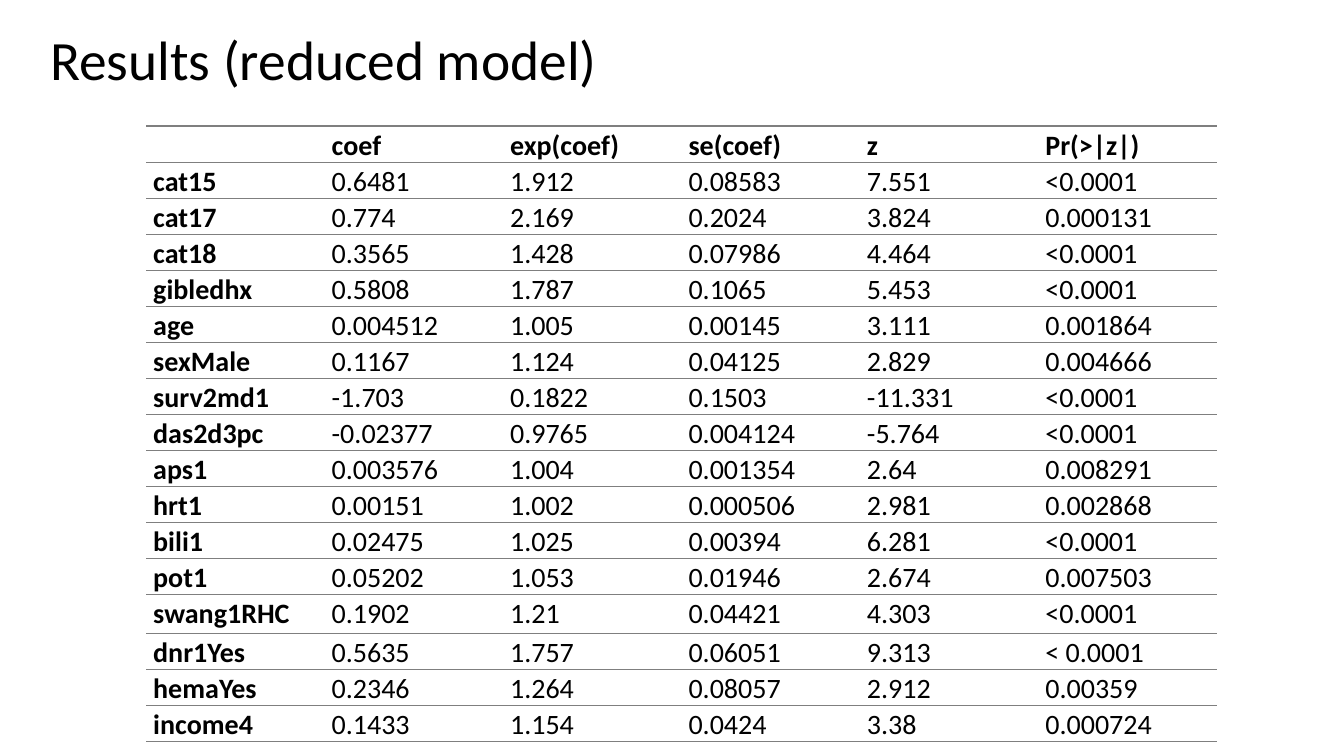
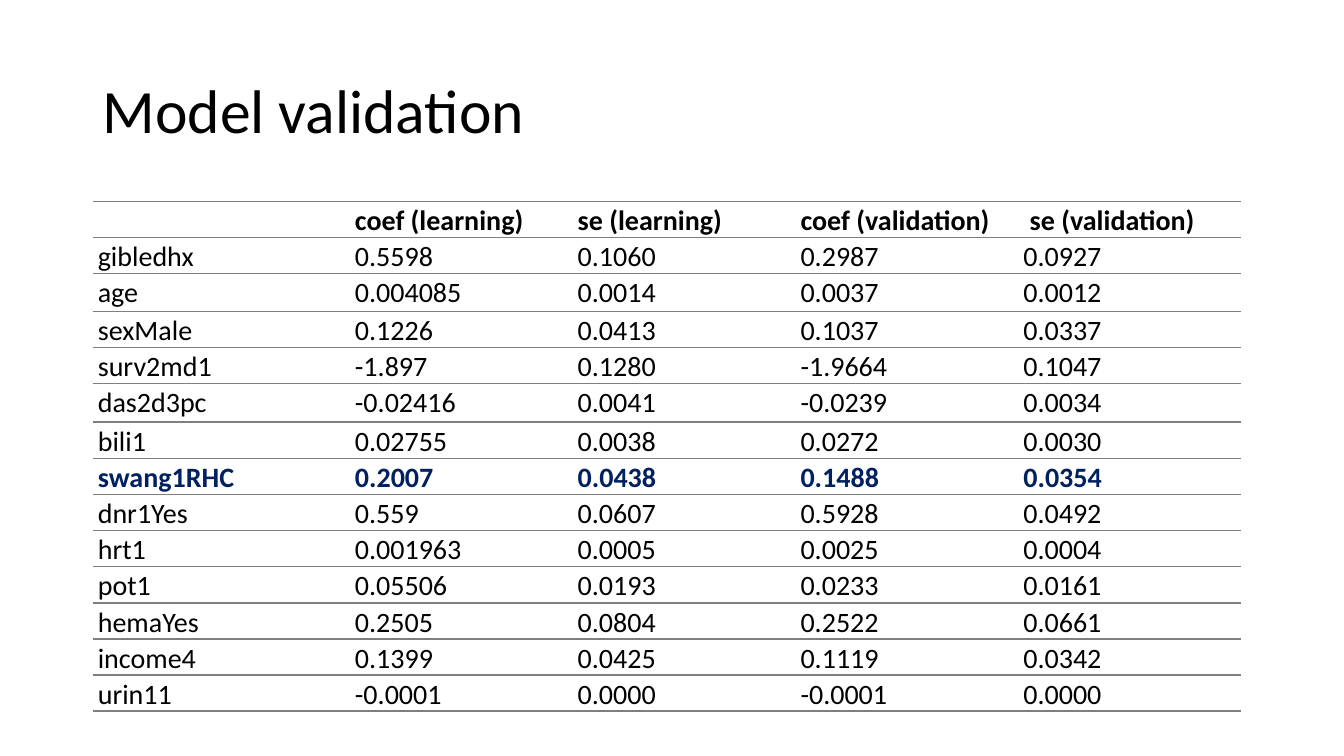
from lxml import etree
from pptx import Presentation
from pptx import util as u
from pptx.dml.color import RGBColor
from pptx.enum import text
from pptx.oxml import ns

COLORS = {"text": "000000", "accent": "002060", "rule": "7F7F7F"}
FONT = "Calibri"
PLAIN_TABLE = "{2D5ABB26-0587-4C30-8999-92F81FD0307C}"


class Deck:
    def __init__(self):
        self.prs = Presentation()
        self.prs.slide_width = u.Inches(13.33)
        self.prs.slide_height = u.Inches(7.5)
        self.s = None

    def slide(self):
        self.s = self.prs.slides.add_slide(self.prs.slide_layouts[6])

    def run(self, p, value, size, bold=False, color="text"):
        r = p.add_run()
        r.text = value
        r.font.name = FONT
        r.font.size = u.Pt(size)
        r.font.bold = bold
        r.font.color.rgb = RGBColor.from_string(COLORS[color])

    def title(self, value, left, top, width, height, size):
        sp = self.s.shapes.add_textbox(*map(u.Inches, (left, top, width, height)))
        tf = sp.text_frame
        tf.word_wrap = True
        tf.vertical_anchor = text.MSO_ANCHOR.MIDDLE
        p = tf.paragraphs[0]
        p.line_spacing = 0.9
        self.run(p, value, size)

    def rules(self, cell):
        """Draw the thin lines above and below a cell."""
        tc_pr = cell._tc.get_or_add_tcPr()
        for side in ("a:lnT", "a:lnB"):
            ln = etree.SubElement(tc_pr, ns.qn(side), w=str(u.Pt(1)))
            fill = etree.SubElement(ln, ns.qn("a:solidFill"))
            etree.SubElement(fill, ns.qn("a:srgbClr"), val=COLORS["rule"])

    def table(self, rows, left, top, widths, heights, inset,
              bold_names=False, highlight=None):
        frame = self.s.shapes.add_table(
            len(rows), len(widths), u.Inches(left), u.Inches(top),
            u.Inches(sum(widths)), u.Inches(sum(heights)))
        table = frame.table
        table.first_row = table.horz_banding = False
        table._tbl.tblPr.find(ns.qn("a:tableStyleId")).text = PLAIN_TABLE
        for column, width in zip(table.columns, widths):
            column.width = u.Inches(width)
        for i, (row, values) in enumerate(zip(table.rows, rows)):
            row.height = u.Inches(heights[i])
            marked = values[0] == highlight
            for j, (cell, value) in enumerate(zip(row.cells, values)):
                cell.margin_left = cell.margin_right = u.Inches(inset)
                cell.margin_top = cell.margin_bottom = 0
                self.rules(cell)
                cell.fill.background()
                p = cell.text_frame.paragraphs[0]
                p.line_spacing = 1.07
                if value:
                    bold = i == 0 or marked or (bold_names and j == 0)
                    self.run(p, value, 20, bold, "accent" if marked else "text")


deck = Deck()

# Reduced model
reduced_model = [
    ("", "coef", "exp(coef)", "se(coef)", "z", "Pr(>|z|)"),
    ("cat15", "0.6481", "1.912", "0.08583", "7.551", "<0.0001"),
    ("cat17", "0.774", "2.169", "0.2024", "3.824", "0.000131"),
    ("cat18", "0.3565", "1.428", "0.07986", "4.464", "<0.0001"),
    ("gibledhx", "0.5808", "1.787", "0.1065", "5.453", "<0.0001"),
    ("age", "0.004512", "1.005", "0.00145", "3.111", "0.001864"),
    ("sexMale", "0.1167", "1.124", "0.04125", "2.829", "0.004666"),
    ("surv2md1", "-1.703", "0.1822", "0.1503", "-11.331", "<0.0001"),
    ("das2d3pc", "-0.02377", "0.9765", "0.004124", "-5.764", "<0.0001"),
    ("aps1", "0.003576", "1.004", "0.001354", "2.64", "0.008291"),
    ("hrt1", "0.00151", "1.002", "0.000506", "2.981", "0.002868"),
    ("bili1", "0.02475", "1.025", "0.00394", "6.281", "<0.0001"),
    ("pot1", "0.05202", "1.053", "0.01946", "2.674", "0.007503"),
    ("swang1RHC", "0.1902", "1.21", "0.04421", "4.303", "<0.0001"),
    ("dnr1Yes", "0.5635", "1.757", "0.06051", "9.313", "< 0.0001"),
    ("hemaYes", "0.2346", "1.264", "0.08057", "2.912", "0.00359"),
    ("income4", "0.1433", "1.154", "0.0424", "3.38", "0.000724"),
]
deck.slide()
deck.title("Results (reduced model)", 0.4, 0.27, 11.5, 0.69, 39.6)
deck.table(reduced_model, 1.45, 1.25, [1.77] * 6,
           [0.36] + [0.32] * 12 + [0.39] + [0.32] * 3, 0.07, bold_names=True)

# Model validation
validation = [
    ("", "coef (learning)", "se (learning)", "coef (validation)", " se (validation)"),
    ("gibledhx", "0.5598", "0.1060", "0.2987", "0.0927"),
    ("age", "0.004085", "0.0014", "0.0037", "0.0012"),
    ("sexMale", "0.1226", "0.0413", "0.1037", "0.0337"),
    ("surv2md1", "-1.897", "0.1280", "-1.9664", "0.1047"),
    ("das2d3pc", "-0.02416", "0.0041", "-0.0239", "0.0034"),
    ("bili1", "0.02755", "0.0038", "0.0272", "0.0030"),
    ("swang1RHC", "0.2007", "0.0438", "0.1488", "0.0354"),
    ("dnr1Yes", "0.559", "0.0607", "0.5928", "0.0492"),
    ("hrt1", "0.001963", "0.0005", "0.0025", "0.0004"),
    ("pot1", "0.05506", "0.0193", "0.0233", "0.0161"),
    ("hemaYes", "0.2505", "0.0804", "0.2522", "0.0661"),
    ("income4", "0.1399", "0.0425", "0.1119", "0.0342"),
    ("urin11", "-0.0001", "0.0000", "-0.0001", "0.0000"),
]
deck.slide()
deck.title("Model validation", 0.92, 0.4, 11.5, 1.45, 44)
deck.table(validation, 0.92, 2, [2.55] + [2.21] * 4,
           [0.36, 0.34, 0.37, 0.36, 0.36, 0.38, 0.36, 0.34] + [0.36] * 3 + [0.34] * 3,
           0.05, highlight="swang1RHC")

deck.prs.save("out.pptx")
